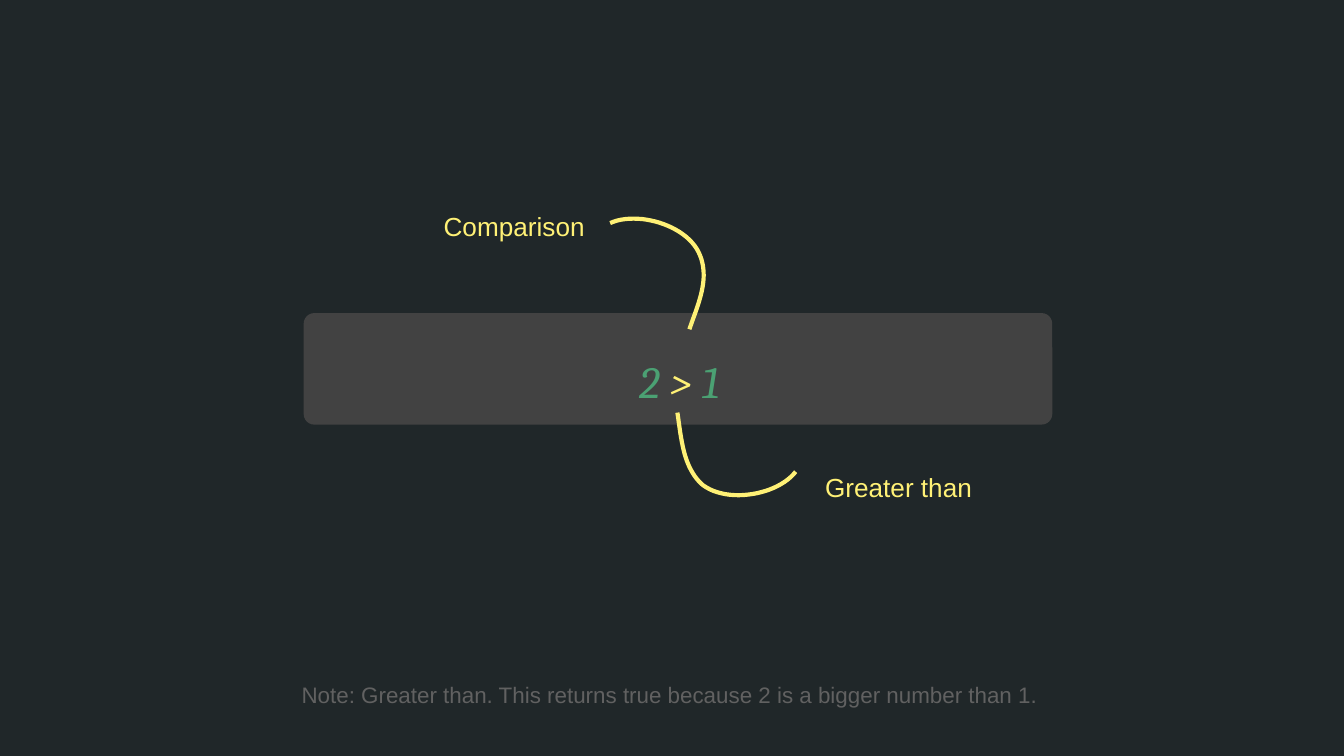
import pptx
import pptx.util
from pptx.dml.color import RGBColor
from pptx.enum.shapes import MSO_SHAPE
from pptx.enum.text import MSO_ANCHOR, PP_ALIGN
from pptx.util import Inches

BACKGROUND = RGBColor(0x20, 0x27, 0x29)
PANEL = RGBColor(0x42, 0x42, 0x42)
GREEN = RGBColor(0x4B, 0xA1, 0x73)
YELLOW = RGBColor(0xFF, 0xF1, 0x76)
GRAY = RGBColor(0x61, 0x61, 0x61)

CURVE_STEPS = 24


def add_panel(slide, left, top, width, height):
    shape = slide.shapes.add_shape(
        MSO_SHAPE.ROUNDED_RECTANGLE,
        Inches(left), Inches(top), Inches(width), Inches(height))
    shape.adjustments[0] = 0.095
    shape.shadow.inherit = False
    shape.fill.solid()
    shape.fill.fore_color.rgb = PANEL
    shape.line.fill.background()


def add_text(slide, left, top, width, height, runs, size, align,
             font="Arial", italic=False, anchor=MSO_ANCHOR.TOP):
    """Add a one-paragraph text box; runs is a list of (text, color)."""
    box = slide.shapes.add_textbox(
        Inches(left), Inches(top), Inches(width), Inches(height))
    frame = box.text_frame
    frame.word_wrap = True
    frame.vertical_anchor = anchor
    frame.margin_left = frame.margin_right = Inches(0.1)
    frame.margin_top = frame.margin_bottom = Inches(0.1)
    paragraph = frame.paragraphs[0]
    paragraph.alignment = align
    paragraph.line_spacing = 1.15
    paragraph.font.name = font
    paragraph.font.size = pptx.util.Pt(size)
    paragraph.font.italic = italic
    for text, color in runs:
        run = paragraph.add_run()
        run.text = text
        run.font.color.rgb = color


def bezier_point(points, t):
    weights = ((1 - t) ** 3, 3 * t * (1 - t) ** 2, 3 * t ** 2 * (1 - t), t ** 3)
    return tuple(
        Inches(sum(weight * point[axis] for weight, point in zip(weights, points)))
        for axis in (0, 1))


def add_curve(slide, points):
    """Draw joined cubic curves: a start point, then three points per curve."""
    vertices = [
        bezier_point(points[first:first + 4], step / CURVE_STEPS)
        for first in range(0, len(points) - 1, 3)
        for step in range(1, CURVE_STEPS + 1)]
    start_x, start_y = points[0]
    builder = slide.shapes.build_freeform(Inches(start_x), Inches(start_y))
    builder.add_line_segments(vertices, close=False)
    shape = builder.convert_to_shape()
    shape.shadow.inherit = False
    shape.fill.background()
    shape.line.color.rgb = YELLOW
    shape.line.width = pptx.util.Pt(2.25)


def main():
    # Widescreen slide, 16:9
    presentation = pptx.Presentation()
    presentation.slide_width = Inches(10)
    presentation.slide_height = Inches(10 * 9 / 16)
    slide = presentation.slides.add_slide(presentation.slide_layouts[6])
    slide.background.fill.solid()
    slide.background.fill.fore_color.rgb = BACKGROUND

    # Expression on its panel
    add_panel(slide, 2.26, 2.33, 5.57, 0.83)
    add_text(slide, 0.54, 0.58, 9.03, 4.45,
             [("2", GREEN), (" > ", YELLOW), ("1", GREEN)], 24,
             PP_ALIGN.CENTER, "Cambria", True, MSO_ANCHOR.MIDDLE)

    # Label above, with its curve
    add_curve(slide, [(5.13, 2.45), (5.19, 2.27), (5.29, 2.07), (5.2, 1.88),
                      (5.1, 1.67), (4.74, 1.57), (4.54, 1.66)])
    add_text(slide, 2.5, 1.43, 1.95, 0.51, [("Comparison", YELLOW)], 14,
             PP_ALIGN.RIGHT)

    # Label below, with its curve
    add_curve(slide, [(5.04, 3.07), (5.07, 3.26), (5.08, 3.48), (5.23, 3.61),
                      (5.42, 3.75), (5.79, 3.68), (5.92, 3.51)])
    add_text(slide, 6.04, 3.37, 1.95, 0.51, [("Greater than", YELLOW)], 14,
             PP_ALIGN.LEFT)

    # Note
    add_text(slide, 0.4, 4.94, 9.17, 0.44,
             [("Note: Greater than. This returns true because 2 is a bigger "
               "number than 1.", GRAY)], 12, PP_ALIGN.CENTER)

    presentation.save("out.pptx")


if __name__ == "__main__":
    main()
